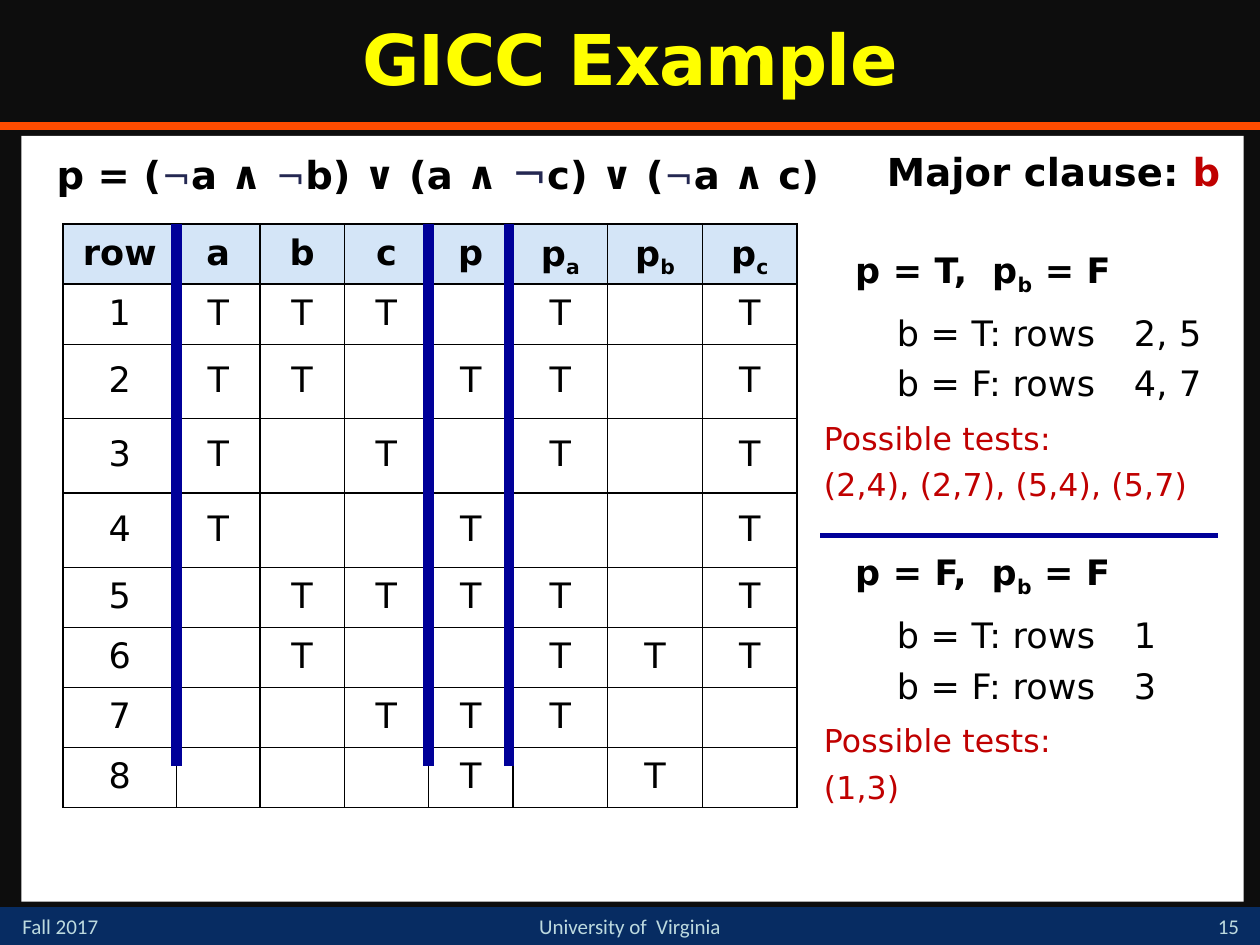
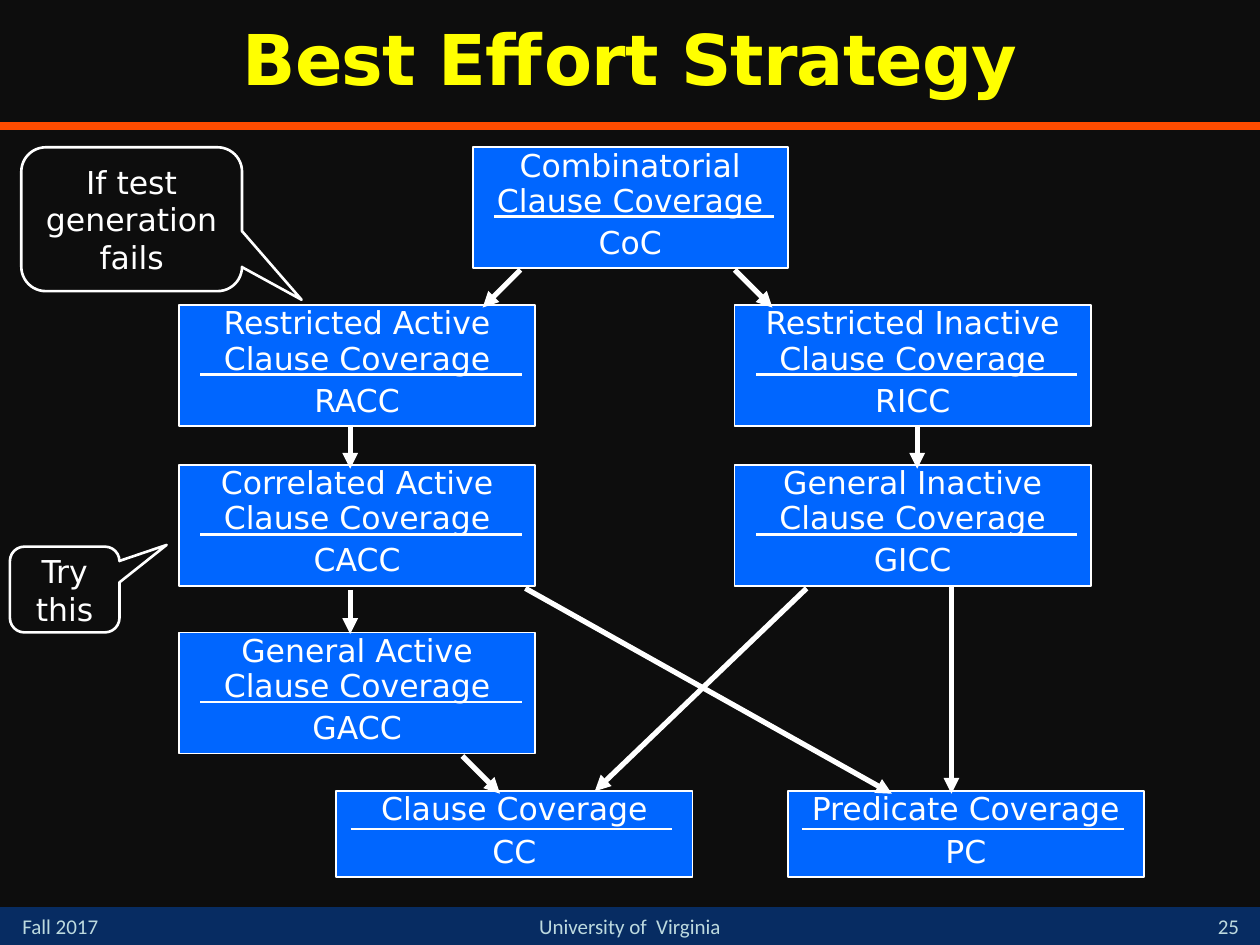
import pptx
import pptx.dml.color
import pptx.enum.shapes
import pptx.enum.text
import pptx.oxml.ns
import pptx.util
from lxml import etree

Cm, Pt = pptx.util.Cm, pptx.util.Pt
SHAPE = pptx.enum.shapes.MSO_SHAPE
ALIGN = pptx.enum.text.PP_ALIGN
ANCHOR = pptx.enum.text.MSO_ANCHOR
qn = pptx.oxml.ns.qn

BLACK, WHITE, RED, NAVY = "000000", "FFFFFF", "C00000", "000099"
BACKGROUND, BAND, ORANGE, YELLOW = "0D0D0D", "072C62", "FF4C00", "FFFF00"
FOOTER_INK, HEADER_FILL, BOX_FILL, NOT_INK = "BDDADF", "D4E5F7", "0066FF", "242852"
SANS, FOOTER_FONT = "DejaVu Sans", "Calibri"
WIDTH, HEIGHT = 25.4, 19.05

# Slide 1: lengths in cm; a span is (text, format)
NOT = ("¬", {"size": 20, "color": NOT_INK, "bold": False})
BIG_NOT = ("¬", {"size": 24, "color": NOT_INK, "bold": False})
PREDICATE = [("p = (", {}), NOT, ("a ∧ ", {}), NOT, ("b) ∨ (a ∧ ", {}), BIG_NOT,
             ("c) ∨ (", {}), NOT, ("a ∧ c)", {})]
MAJOR_CLAUSE = [("Major clause: ", {}), ("b", {"color": RED})]
HEADINGS = ["row", "a", "b", "c", "p", "p_a", "p_b", "p_c"]
TRUTH = ["TTT T T", "TT TT T", "T T T T", "T  T  T",
         " TTTT T", " T  TTT", "  TTT  ", "   T T "]
COLUMN_WIDTHS = [2.29, 1.68, 1.7, 1.7, 1.7, 1.91, 1.91, 1.91]
ROW_HEIGHT, TALL_HEIGHT, TALL_ROWS = 1.21, 1.5, (2, 3, 4)
TABLE_LEFT, TABLE_TOP = 1.27, 4.52
DIVIDERS = [3.56, 8.64, 10.26]
CASES = [("T", ["2, 5", "4, 7"], "(2,4), (2,7), (5,4), (5,7)"),
         ("F", ["1", "3"], "(1,3)")]
CASE_PITCH = 6.1

# Slide 2: boxes are (left, row, width, lines)
LEFT, RIGHT, BOX_WIDTH = 3.61, 14.81, 7.18
ROW_TOPS = [2.97, 6.15, 9.37, 12.75, 15.95]
BOX_HEIGHTS = {3: 2.44, 2: 1.73}
RULE_OFFSETS = {3: (0.43, 1.4), 2: (0.29, 0.76)}
COVERAGE = "Clause Coverage"
BOXES = [
    (9.53, 0, 6.35, ["Combinatorial", COVERAGE, "CoC"]),
    (LEFT, 1, BOX_WIDTH, ["Restricted Active", COVERAGE, "RACC"]),
    (RIGHT, 1, BOX_WIDTH, ["Restricted Inactive", COVERAGE, "RICC"]),
    (LEFT, 2, BOX_WIDTH, ["Correlated Active", COVERAGE, "CACC"]),
    (RIGHT, 2, BOX_WIDTH, ["General Inactive", COVERAGE, "GICC"]),
    (LEFT, 3, BOX_WIDTH, ["General Active", COVERAGE, "GACC"]),
    (6.78, 4, BOX_WIDTH, [COVERAGE, "CC"]),
    (15.88, 4, BOX_WIDTH, ["Predicate Coverage", "PC"]),
]
ARROWS = [
    (10.49, 5.44, 9.73, 6.2), (14.81, 5.44, 15.57, 6.2),
    (7.06, 8.56, 7.06, 9.45), (18.49, 8.56, 18.49, 9.45),
    (7.06, 11.89, 7.06, 12.78), (9.32, 15.24, 10.08, 16),
    (10.59, 11.86, 17.98, 16), (16.26, 11.86, 11.99, 15.95),
    (19.18, 11.81, 19.18, 16),
]
CALLOUTS = [
    ("If test generation fails", (0.43, 2.97, 4.45, 2.9), (0.77, 0.56, 0.17)),
    ("Try this", (0.2, 11.02, 2.21, 1.73), (0.93, -0.52, 0.17)),
]


def rgb(color):
    return pptx.dml.color.RGBColor.from_string(color)


def format_run(r, size, color, font=SANS, bold=False, spacing=0, sub=False):
    r.font.size, r.font.name, r.font.bold = Pt(size), font, bold
    r.font.color.rgb = rgb(color)
    rPr = r._r.get_or_add_rPr()
    if spacing:
        rPr.set("spc", str(spacing))
    if sub:
        rPr.set("baseline", "-25000")


def write(tf, paragraphs, align=ALIGN.LEFT, line=None, before=0, **style):
    """Fill a frame; a paragraph is a string or a list of spans."""
    for i, spans in enumerate(paragraphs):
        p = tf.add_paragraph() if i else tf.paragraphs[0]
        p.alignment = align
        p.space_before = Pt(before)
        if line:
            p.line_spacing = line
        if isinstance(spans, str):
            spans = [(spans, {})]
        for text, changes in spans:
            r = p.add_run()
            r.text = text
            format_run(r, **{**style, **changes})


def add_text(s, box, paragraphs, anchor=ANCHOR.TOP, indent=0.0, **style):
    tf = s.shapes.add_textbox(*map(Cm, box)).text_frame
    tf.word_wrap = True
    tf.vertical_anchor = anchor
    tf.margin_left = Cm(0.25 + indent)
    write(tf, paragraphs, **style)


def add_body(s, box, paragraphs, size=20, color=BLACK, **style):
    add_text(s, box, paragraphs, indent=0.05, size=size, color=color, spacing=10, **style)


def add_shape(s, kind, box, fill=None, line=None, weight=1):
    sp = s.shapes.add_shape(kind, *map(Cm, box))
    sp.shadow.inherit = False
    if fill:
        sp.fill.solid()
        sp.fill.fore_color.rgb = rgb(fill)
    else:
        sp.fill.background()
    if line:
        sp.line.color.rgb = rgb(line)
        sp.line.width = Pt(weight)
    else:
        sp.line.fill.background()
    sp.text_frame.word_wrap = True
    sp.text_frame.vertical_anchor = ANCHOR.MIDDLE
    return sp


def add_line(s, ends, color, weight, arrow=False):
    cn = s.shapes.add_connector(pptx.enum.shapes.MSO_CONNECTOR.STRAIGHT, *map(Cm, ends))
    cn.line.color.rgb = rgb(color)
    cn.line.width = Pt(weight)
    spPr = cn._element.spPr
    if arrow:
        etree.SubElement(spPr.find(qn("a:ln")), qn("a:tailEnd"), type="triangle")
    etree.SubElement(spPr, qn("a:effectLst"))


def add_slide(prs, title, number):
    """Add a slide with the shared band, rule, footer and title."""
    s = prs.slides.add_slide(prs.slide_layouts[6])
    s.background.fill.solid()
    s.background.fill.fore_color.rgb = rgb(BACKGROUND)
    add_shape(s, SHAPE.RECTANGLE, (0, 18.29, WIDTH, 0.76), BAND)
    add_line(s, (0, 2.54, WIDTH, 2.54), ORANGE, 4.5)
    footer = {"size": 12, "color": FOOTER_INK, "font": FOOTER_FONT}
    add_text(s, (0.2, 18.29, 2.97, 0.76), ["Fall 2017"], **footer)
    add_text(s, (24.13, 18.21, 1.27, 0.84), [str(number)], ANCHOR.BOTTOM,
             align=ALIGN.CENTER, **footer)
    add_text(s, (9.31, 18.29, 6.78, 0.76), ["University of  Virginia"],
             align=ALIGN.CENTER, **footer)
    add_text(s, (0, 0, WIDTH, 2.54), [title], ANCHOR.MIDDLE, align=ALIGN.CENTER,
             line=0.9, size=40, color=YELLOW, bold=True, spacing=-50)
    return s


def add_borders(cell):
    tcPr = cell._tc.get_or_add_tcPr()
    for i, side in enumerate(("lnL", "lnR", "lnT", "lnB")):
        ln = etree.Element(qn("a:" + side), w=str(Pt(1)))
        fill = etree.SubElement(ln, qn("a:solidFill"))
        etree.SubElement(fill, qn("a:srgbClr"), val=BLACK)
        tcPr.insert(i, ln)


def add_truth_table(s):
    rows = [HEADINGS] + [[str(n), *marks] for n, marks in enumerate(TRUTH, 1)]
    heights = [TALL_HEIGHT if n in TALL_ROWS else ROW_HEIGHT for n in range(len(rows))]
    box = (TABLE_LEFT, TABLE_TOP, sum(COLUMN_WIDTHS), sum(heights))
    table = s.shapes.add_table(len(rows), len(HEADINGS), *map(Cm, box)).table
    table.first_row = table.horz_banding = False
    for column, width in zip(table.columns, COLUMN_WIDTHS):
        column.width = Cm(width)
    for i, (row, height) in enumerate(zip(rows, heights)):
        table.rows[i].height = Cm(height)
        for j, label in enumerate(row):
            cell = table.cell(i, j)
            cell.vertical_anchor = ANCHOR.MIDDLE
            if i == 0:
                cell.fill.solid()
                cell.fill.fore_color.rgb = rgb(HEADER_FILL)
            else:
                cell.fill.background()
            add_borders(cell)
            if label.strip():
                base, _, sub = label.partition("_")
                spans = [(base, {})] + ([(sub, {"sub": True})] if sub else [])
                write(cell.text_frame, [spans], ALIGN.CENTER, 0.9, size=20,
                      color=BLACK, bold=i == 0)


def build_example(prs):
    s = add_slide(prs, "GICC Example", 15)
    add_shape(s, SHAPE.RECTANGLE, (0.43, 2.74, 24.64, 15.44), WHITE)
    add_truth_table(s)
    formula = {"size": 22, "bold": True, "line": 0.9}
    add_body(s, (0.84, 2.97, 17.17, 1.9), [PREDICATE], **formula)
    add_body(s, (17.58, 2.97, 7.62, 1.47), [MAJOR_CLAUSE], **formula)
    for x in DIVIDERS:
        add_line(s, (x, TABLE_TOP, x, 15.44), NAVY, 6)
    add_line(s, (16.54, 10.8, 24.56, 10.8), NAVY, 3)
    for i, (value, row_numbers, tests) in enumerate(CASES):
        dy = i * CASE_PITCH
        heading = [(f"p = {value},  p", {}), ("b", {"sub": True}), (" = F", {})]
        add_body(s, (16.94, 4.88 + dy, 7.42, 1.78), [heading], bold=True)
        add_body(s, (17.78, 6.15 + dy, 5.08, 2.21), ["b = T: rows", "b = F: rows"], before=5)
        add_body(s, (22.56, 6.15 + dy, 2.41, 2.21), row_numbers, before=5)
        add_body(s, (16.31, 8.32 + dy, 8.51, 2.21), ["Possible tests:", tests],
                 size=18, color=RED, before=5)


def build_strategy(prs):
    s = add_slide(prs, "Best Effort Strategy", 25)
    label = {"align": ALIGN.CENTER, "size": 18, "color": WHITE}
    for left, row, width, lines in BOXES:
        top, n = ROW_TOPS[row], len(lines)
        sp = add_shape(s, SHAPE.RECTANGLE, (left, top, width, BOX_HEIGHTS[n]), BOX_FILL, WHITE)
        write(sp.text_frame, lines, line=0.7, before=5, **label)
        sp.text_frame.paragraphs[-1].space_before = Pt(9)
        dx, dy = RULE_OFFSETS[n]
        x, y = left + dx, top + dy
        add_line(s, (x, y, x + width - 0.7, y), WHITE, 1.5)
    for ends in ARROWS:
        add_line(s, ends, WHITE, 3, arrow=True)
    for text, box, adjustments in CALLOUTS:
        sp = add_shape(s, SHAPE.ROUNDED_RECTANGULAR_CALLOUT, box, line=WHITE, weight=1.5)
        for i, value in enumerate(adjustments):
            sp.adjustments[i] = value
        write(sp.text_frame, [text], **label)


def main():
    prs = pptx.Presentation()
    prs.slide_width, prs.slide_height = Cm(WIDTH), Cm(HEIGHT)
    build_example(prs)
    build_strategy(prs)
    prs.save("out.pptx")


if __name__ == "__main__":
    main()
